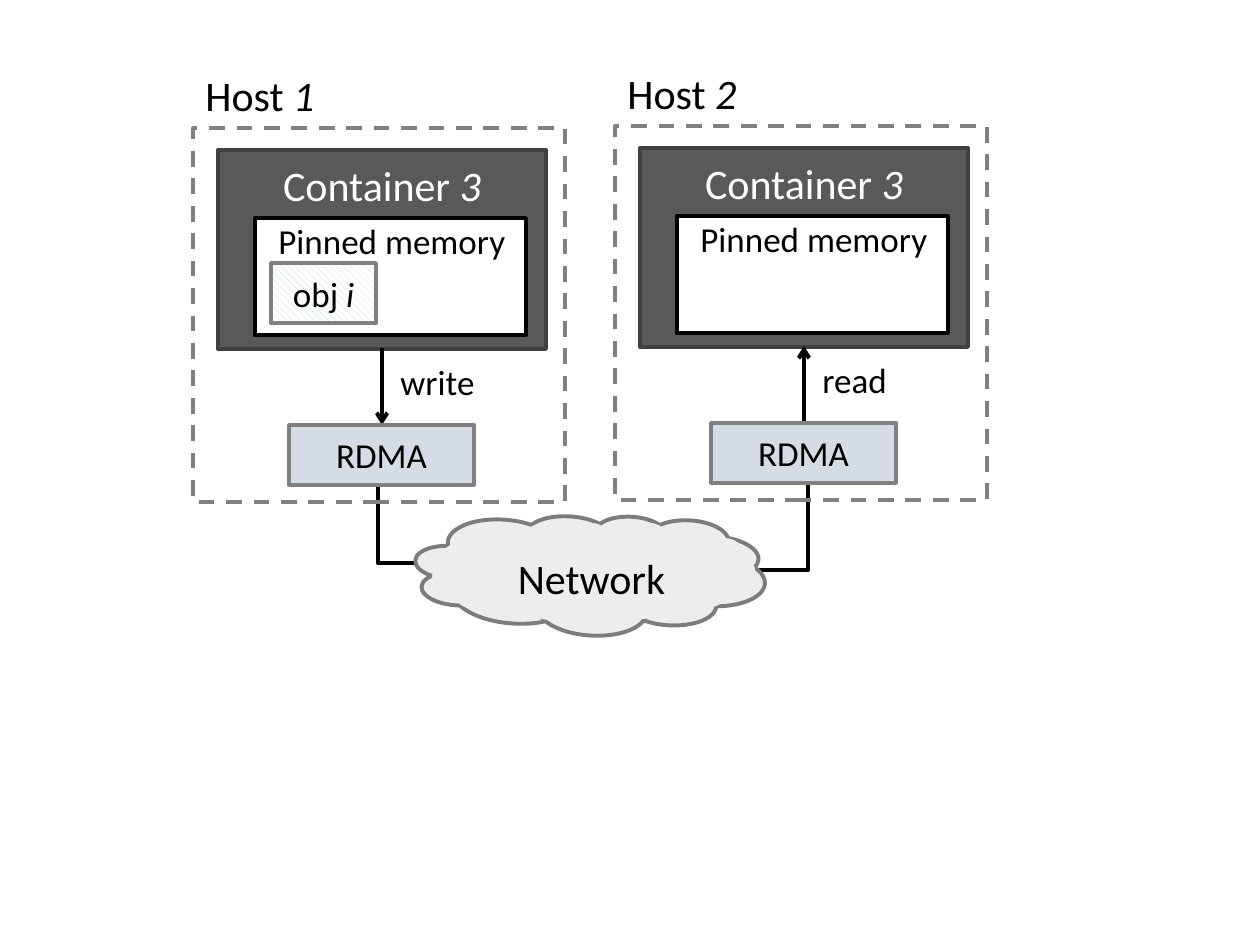
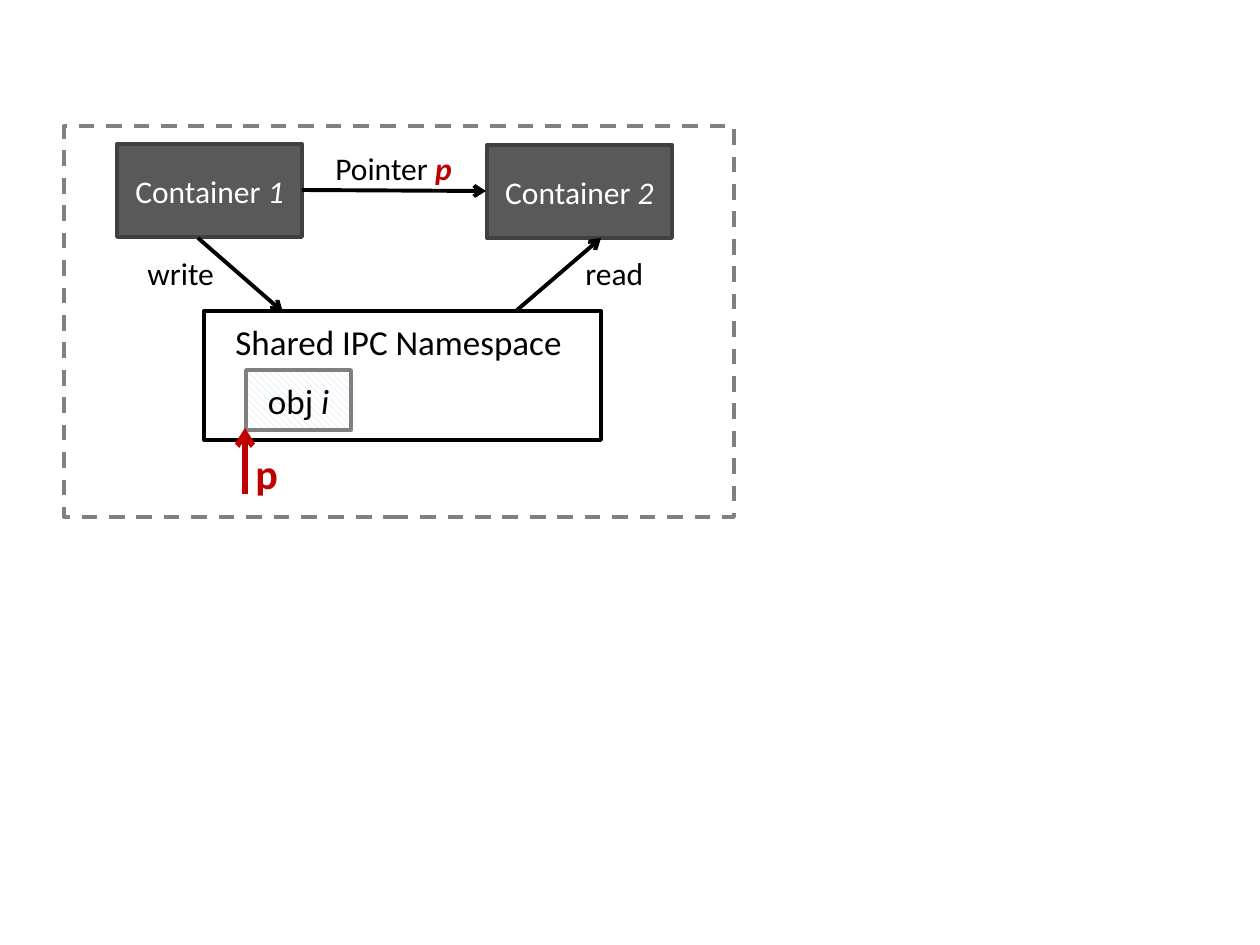
from lxml import etree
from pptx import Presentation
from pptx.dml.color import RGBColor
from pptx.enum.dml import MSO_LINE, MSO_PATTERN
from pptx.enum.shapes import MSO_CONNECTOR, MSO_SHAPE
from pptx.enum.text import MSO_ANCHOR, PP_ALIGN
from pptx.oxml.ns import qn
from pptx.util import Emu, Pt

SCALE = 914400 / 126
FONT = "Calibri"
LINE_WIDTH = 2.25

BLACK = RGBColor(0x00, 0x00, 0x00)
WHITE = RGBColor(0xFF, 0xFF, 0xFF)
GRAY = RGBColor(0x80, 0x80, 0x80)
DARK_GRAY = RGBColor(0x59, 0x59, 0x59)
DARK_EDGE = RGBColor(0x40, 0x40, 0x40)
PALE_BLUE = RGBColor(0xD6, 0xDC, 0xE5)
HATCH_BLUE = RGBColor(0xBD, 0xD7, 0xEE)
CLOUD_FILL = RGBColor(0xED, 0xED, 0xED)
CLOUD_EDGE = RGBColor(0x7C, 0x7C, 0x7C)
RED = RGBColor(0xC0, 0x00, 0x00)

RECTANGLE = MSO_SHAPE.RECTANGLE
ELLIPSE = MSO_SHAPE.OVAL
CLOUD = MSO_SHAPE.CLOUD
STRAIGHT = MSO_CONNECTOR.STRAIGHT
ELBOW = MSO_CONNECTOR.ELBOW
HATCH = MSO_PATTERN.WIDE_DOWNWARD_DIAGONAL
DASH = MSO_LINE.DASH
LEFT = PP_ALIGN.LEFT
CENTER = PP_ALIGN.CENTER
TOP = MSO_ANCHOR.TOP
MIDDLE = MSO_ANCHOR.MIDDLE

CLOUD_PATCHES = [
    (432, 566, 34, 20), (721, 559, 34, 20), (687, 575, 40, 33),
    (624, 586, 40, 33), (529, 587, 40, 33), (454, 576, 40, 33),
    (440, 543, 40, 33), (524, 523, 40, 33), (571, 523, 40, 33),
    (629, 523, 40, 33), (704, 538, 40, 33),
]


def px(*lengths):
    return [Emu(round(length * SCALE)) for length in lengths]


def write(box, text, tail="", size=20, color=BLACK, tail_color=None,
          bold=False, tail_bold=False, align=LEFT, anchor=TOP):
    frame = box.text_frame
    frame.word_wrap = True
    frame.vertical_anchor = anchor
    para = frame.paragraphs[0]
    para.alignment = align
    parts = [(text, color, bold, False)]
    if tail:
        parts.append((tail, tail_color or color, tail_bold, True))
    for words, shade, heavy, italic in parts:
        span = para.add_run()
        span.text = words
        span.font.name = FONT
        span.font.size = Pt(size)
        span.font.color.rgb = shade
        span.font.bold = heavy
        span.font.italic = italic


def add_label(shapes, area, text, **text_format):
    box = shapes.add_textbox(*px(*area))
    write(box, text, **text_format)


def add_box(shapes, area, kind=RECTANGLE, fill=None, edge=None,
            width=LINE_WIDTH, dash=None):
    box = shapes.add_shape(kind, *px(*area))
    box.shadow.inherit = False
    if fill is None:
        box.fill.background()
    else:
        box.fill.solid()
        box.fill.fore_color.rgb = fill
    if edge is None:
        box.line.fill.background()
    else:
        box.line.color.rgb = edge
        box.line.width = Pt(width)
        box.line.dash_style = dash
    return box


def add_line(shapes, start, end, kind=STRAIGHT, color=BLACK,
             width=LINE_WIDTH, arrow=True):
    line = shapes.add_connector(kind, *px(*start, *end))
    line.line.color.rgb = color
    line.line.width = Pt(width)
    properties = line._element.spPr
    if arrow:
        etree.SubElement(properties.find(qn("a:ln")), qn("a:tailEnd"), type="arrow")
    etree.SubElement(properties, qn("a:effectLst"))
    return line


def add_corner(shapes, start, end):
    line = add_line(shapes, start, end, kind=ELBOW, arrow=False)
    line._element.spPr.find(qn("a:prstGeom")).set("prst", "bentConnector2")


def add_object(shapes, left, top):
    box = add_box(shapes, (left, top, 105, 60), edge=GRAY, width=2)
    box.fill.patterned()
    box.fill.pattern = HATCH
    box.fill.fore_color.rgb = HATCH_BLUE
    box.fill.back_color.rgb = WHITE
    write(box, "obj ", "i", align=CENTER, anchor=MIDDLE)


def add_container(shapes, area, number, size, anchor=MIDDLE):
    box = add_box(shapes, area, fill=DARK_GRAY, edge=DARK_EDGE)
    write(box, "Container ", number, size=size, color=WHITE,
          align=CENTER, anchor=anchor)
    return box


def add_host(shapes, left, top, number, verb):
    def area(x, y, width, height):
        return left + x, top + y, width, height

    add_box(shapes, area(0, 0, 372, 374), edge=GRAY, dash=DASH)
    container = add_container(shapes, area(25, 22, 328, 199), "3", 24, TOP)
    container.text_frame.margin_top = px(10)[0]
    add_label(shapes, area(0, -65, 186, 63), "Host ", tail=number, size=24)

    ends = [(left + 189, top + 220), (left + 189, top + 297)]
    if verb == "read":
        ends.reverse()
    add_line(shapes, *ends)
    add_label(shapes, area(195, 226, 169, 55), verb)

    adapter = add_box(shapes, area(96, 297, 185, 60), fill=PALE_BLUE,
                      edge=GRAY, width=2)
    write(adapter, "RDMA", align=CENTER, anchor=MIDDLE)

    memory = shapes.add_group_shape().shapes
    add_box(memory, area(62, 90, 271, 117), fill=WHITE, edge=BLACK)
    add_label(memory, area(73, 85, 273, 55), "Pinned memory")
    if verb == "write":
        add_object(memory, left + 78, top + 135)


def add_network(shapes):
    network = shapes.add_group_shape().shapes
    cloud = add_box(network, (415, 514, 350, 121), kind=CLOUD,
                    fill=CLOUD_FILL, edge=CLOUD_EDGE)
    cloud.rotation = 3.5
    for patch in CLOUD_PATCHES:
        add_box(network, patch, kind=ELLIPSE, fill=CLOUD_FILL)
    add_label(network, (489, 546, 205, 63), "Network", size=24, align=CENTER)


def draw_remote_sharing(page):
    shapes = page.shapes
    add_corner(shapes, (429, 563), (378, 483))
    add_corner(shapes, (722, 570), (808, 431))
    add_host(shapes, 615, 126, "2", "read")
    add_host(shapes, 193, 128, "1", "write")
    add_network(shapes)


def draw_local_sharing(page):
    shapes = page.shapes
    add_box(shapes, (64, 126, 670, 391), edge=GRAY, dash=DASH)
    add_container(shapes, (117, 144, 185, 93), "1", 18)
    add_container(shapes, (487, 145, 185, 93), "2", 18)

    add_box(shapes, (204, 311, 397, 129), edge=BLACK)
    add_label(shapes, (223, 314, 363, 97), "Shared IPC Namespace")
    add_object(shapes, 246, 370)
    add_line(shapes, (245, 494), (245, 428), color=RED, width=3.25)
    add_label(shapes, (243, 441, 79, 63), "p", size=24, color=RED, bold=True)

    add_line(shapes, (302, 190), (486, 191))
    add_line(shapes, (198, 238), (283, 312))
    add_line(shapes, (516, 311), (601, 238))
    add_label(shapes, (135, 248, 169, 50), "write", size=18)
    add_label(shapes, (573, 248, 169, 50), "read", size=18)
    add_label(shapes, (309, 143, 169, 50), "Pointer ", tail="p", size=18,
              tail_color=RED, tail_bold=True, align=CENTER)


def main():
    deck = Presentation()
    deck.slide_width, deck.slide_height = px(1260, 945)
    blank = deck.slide_layouts[6]
    for draw in (draw_remote_sharing, draw_local_sharing):
        draw(deck.slides.add_slide(blank))
    deck.save("out.pptx")


main()
